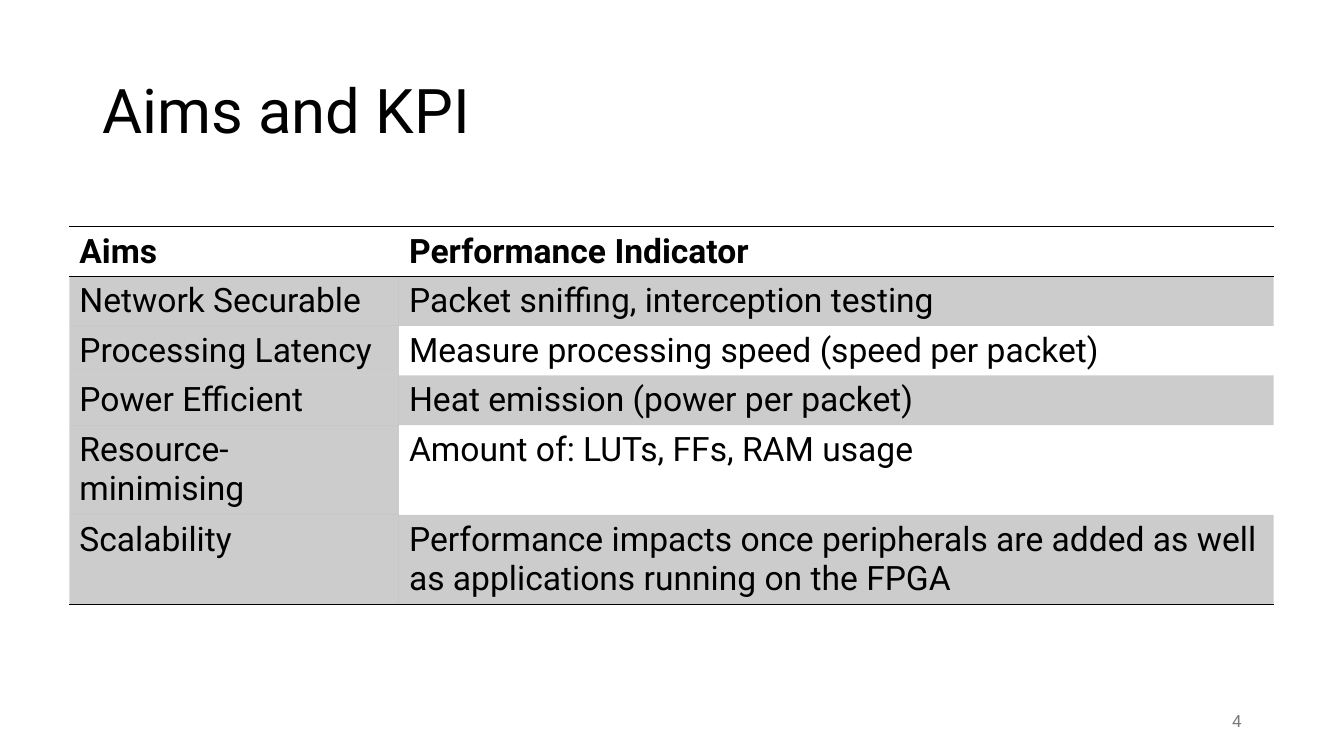
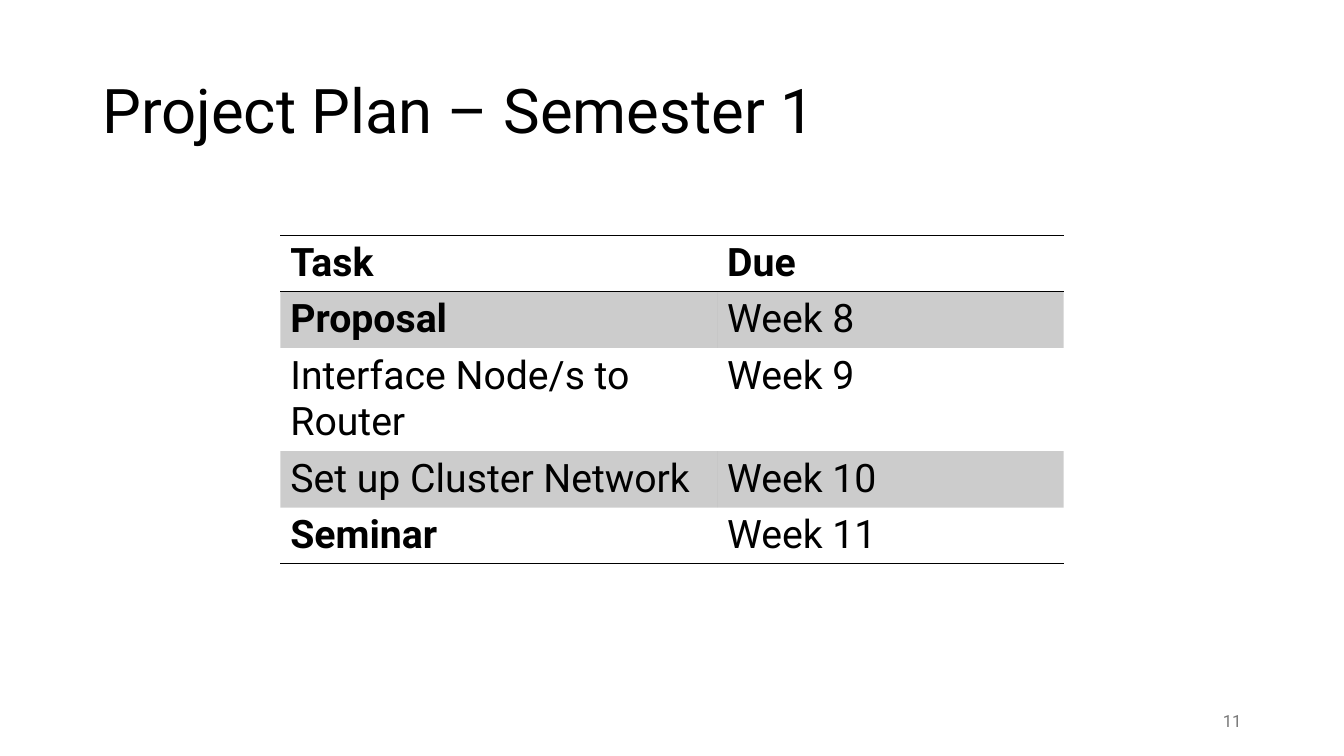
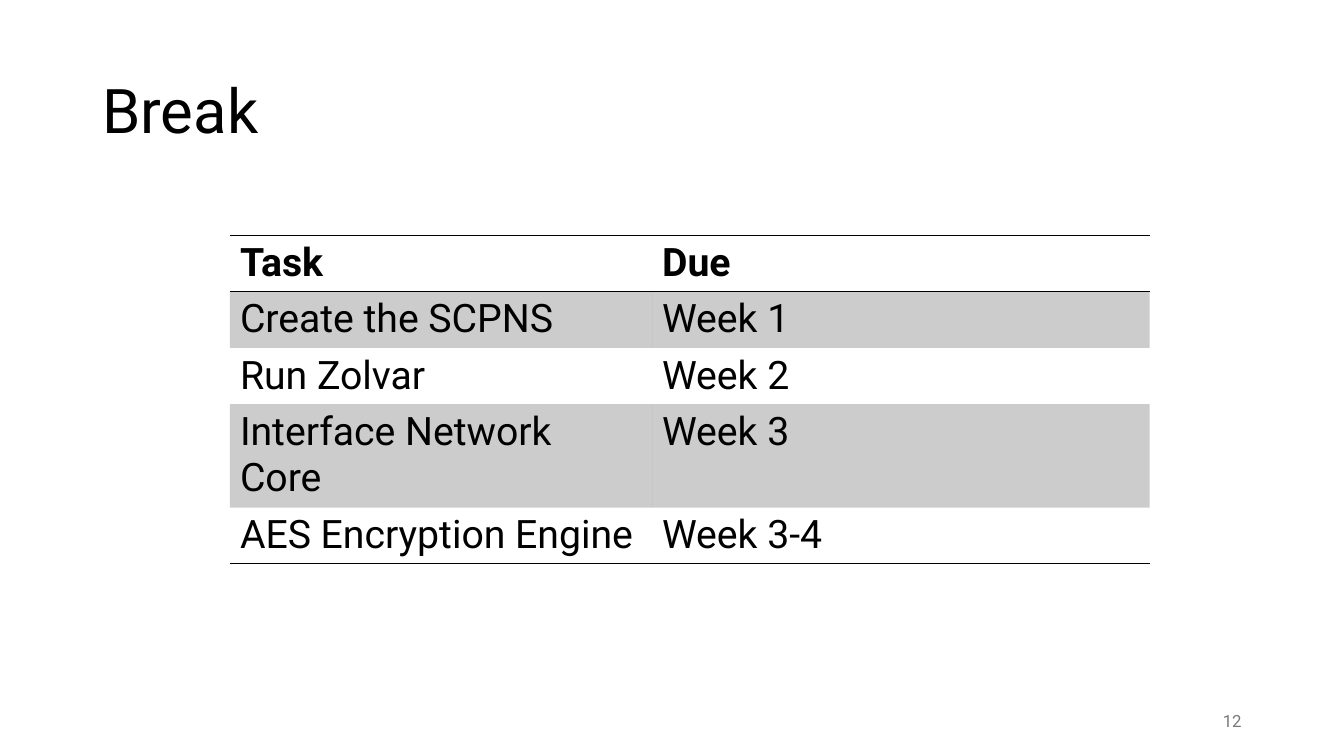
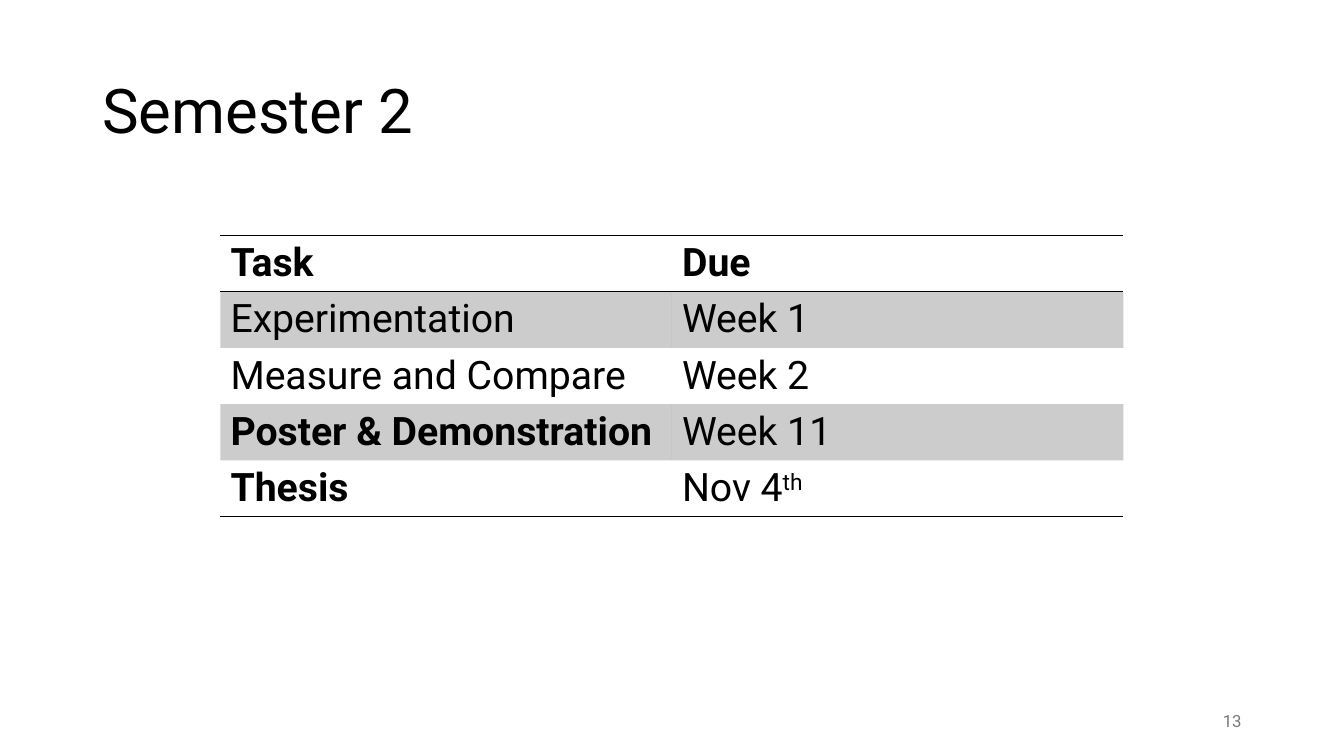
from lxml import etree
from pptx import Presentation
from pptx import util as u
from pptx.dml.color import RGBColor
from pptx.enum import text
from pptx.oxml.ns import qn

PX = 9525
FONT = "Roboto"
BLACK, GREY = "000000", "797979"
PLAIN_TABLE = "{2D5ABB26-0587-4C30-8999-92F81FD0307C}"
TITLE_BOX = (88, 39, 1104, 139)
NUMBER_BOX = (904, 667, 288, 38)
ROW_H = 39
CELL_BOTTOM = 4

SLIDES = [
    dict(title="Aims and KPI", number=4, at=(66, 216), cols=(314, 833), size=24,
         shade_first=True, rows=[
             ("Aims", "Performance Indicator"),
             ("Network Securable", "Packet sniffing, interception testing"),
             ("Processing Latency", "Measure processing speed (speed per packet)"),
             ("Power Efficient", "Heat emission (power per packet)"),
             ("Resource-minimising", "Amount of: LUTs, FFs, RAM usage"),
             ("Scalability", "Performance impacts once peripherals are added as well "
                             "as applications running on the FPGA")]),
    dict(title="Project Plan – Semester 1", number=11, at=(267, 224), cols=(416, 330),
         milestones=("Proposal", "Seminar"), rows=[
             ("Task", "Due"),
             ("Proposal", "Week 8"),
             ("Interface Node/s to Router", "Week 9"),
             ("Set up Cluster Network", "Week 10"),
             ("Seminar", "Week 11")]),
    dict(title="Break", number=12, at=(219, 224), cols=(402, 474), rows=[
        ("Task", "Due"),
        ("Create the SCPNS", "Week 1"),
        ("Run Zolvar", "Week 2"),
        ("Interface Network Core", "Week 3"),
        ("AES Encryption Engine", "Week 3-4")]),
    dict(title="Semester 2", number=13, at=(210, 224), cols=(430, 430),
         milestones=("Poster & Demonstration", "Thesis"), rows=[
             ("Task", "Due"),
             ("Experimentation", "Week 1"),
             ("Measure and Compare", "Week 2"),
             ("Poster & Demonstration", "Week 11"),
             ("Thesis", "Nov 4^th")]),
]


def px(n):
    """Turn px into EMU."""
    return u.Emu(n * PX)


def rgb(color):
    """Turn a hex string into a colour."""
    return RGBColor.from_string(color)


def style(p, size, color=BLACK, bold=False):
    """Set the font of a paragraph."""
    f = p.font
    f.name, f.size, f.bold = FONT, u.Pt(size), bold
    f.color.rgb = rgb(color)


def add_text(s, box, value, size, color=BLACK, align=text.PP_ALIGN.LEFT, spacing=1.0):
    """Place one line of text, centred vertically in its box."""
    tf = s.shapes.add_textbox(*map(px, box)).text_frame
    tf.word_wrap = True
    tf.vertical_anchor = text.MSO_ANCHOR.MIDDLE
    p = tf.paragraphs[0]
    p.text, p.alignment, p.line_spacing = value, align, spacing
    style(p, size, color)


def add_border(cell, side):
    """Draw a thin black rule on one side of a cell."""
    ln = etree.SubElement(cell._tc.get_or_add_tcPr(), qn(f"a:ln{side}"), w=str(u.Pt(1)))
    fill = etree.SubElement(ln, qn("a:solidFill"))
    etree.SubElement(fill, qn("a:srgbClr"), val=BLACK)


def shade(cell):
    """Fill a cell with black at 20% opacity."""
    cell.fill.solid()
    cell.fill.fore_color.rgb = rgb(BLACK)
    clr = cell._tc.tcPr.find(f"{qn('a:solidFill')}/{qn('a:srgbClr')}")
    etree.SubElement(clr, qn("a:alpha"), val="20000")


def fill_cell(cell, value, size, bold):
    """Write a cell's text, raising whatever follows a caret."""
    cell.margin_bottom = px(CELL_BOTTOM)
    p = cell.text_frame.paragraphs[0]
    base, _, raised = value.partition("^")
    p.add_run().text = base
    if raised:
        r = p.add_run()
        r.text = raised
        r.font._element.set("baseline", "30000")
    style(p, size, bold=bold)


def add_grid(s, at, cols, rows, size=28, milestones=(), shade_first=False):
    """Place a ruled table with shaded alternate rows."""
    frame = s.shapes.add_table(len(rows), len(cols), *map(px, (*at, sum(cols), ROW_H * len(rows))))
    table = frame.table
    table._tbl.tblPr.find(qn("a:tableStyleId")).text = PLAIN_TABLE
    for col, width in zip(table.columns, cols):
        col.width = px(width)
    for i, values in enumerate(rows):
        for j, value in enumerate(values):
            cell = table.cell(i, j)
            fill_cell(cell, value, size, i == 0 or value in milestones)
            if i == 0:
                add_border(cell, "T")
            if i in (0, len(rows) - 1):
                add_border(cell, "B")
            if i % 2 or (shade_first and i and j == 0):
                shade(cell)
            else:
                cell.fill.background()


def add_table_slide(prs, title, number, **grid):
    """Add a slide with a title, a table and a page number."""
    s = prs.slides.add_slide(prs.slide_layouts[6])
    add_text(s, TITLE_BOX, title, 44, spacing=0.9)
    add_grid(s, **grid)
    add_text(s, NUMBER_BOX, str(number), 12, GREY, text.PP_ALIGN.RIGHT)


def main():
    """Build and save the presentation."""
    prs = Presentation()
    prs.slide_width, prs.slide_height = px(1280), px(720)
    for slide in SLIDES:
        add_table_slide(prs, **slide)
    prs.save("out.pptx")


if __name__ == "__main__":
    main()
